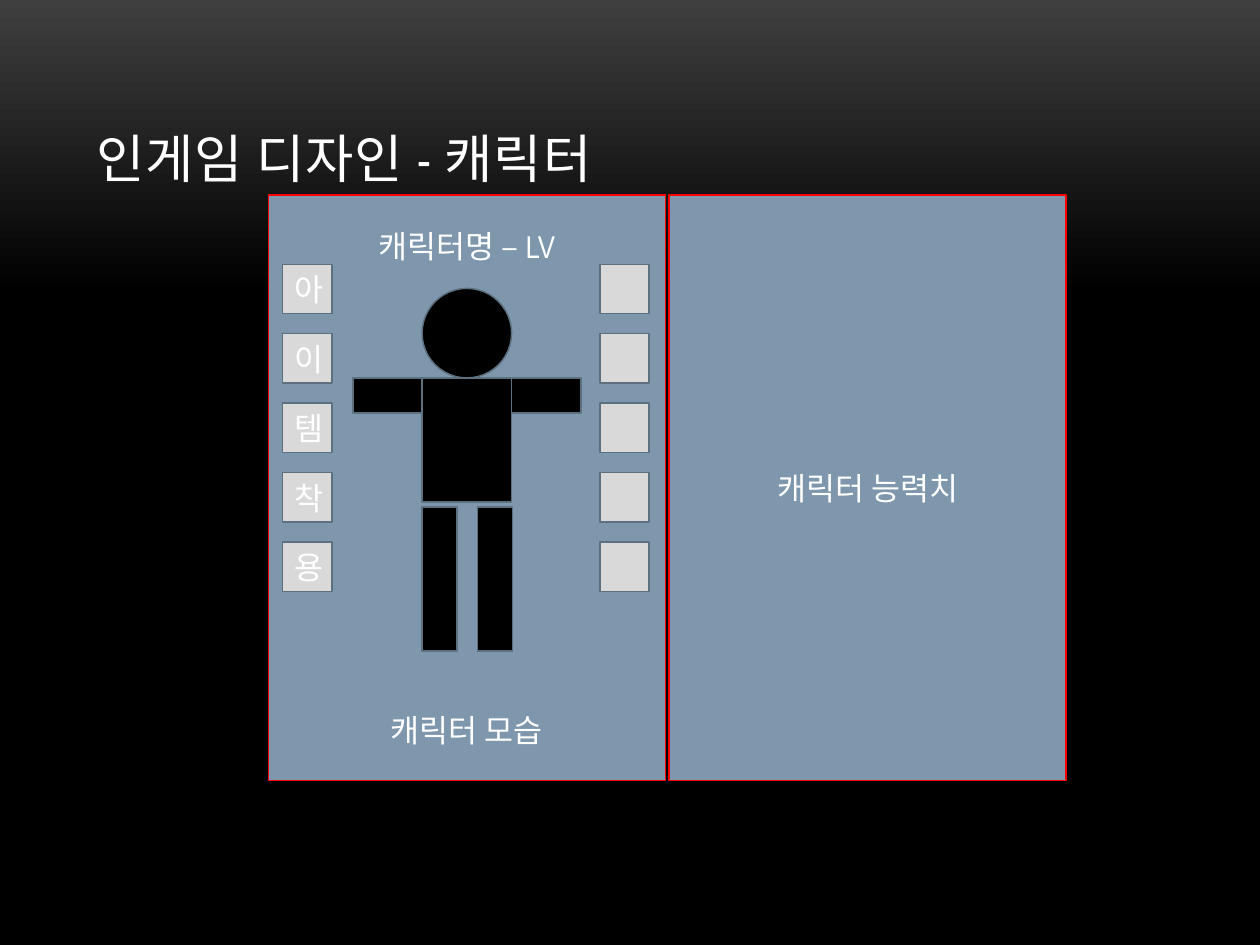
from pptx import Presentation
from pptx.dml.color import RGBColor
from pptx.enum.shapes import MSO_SHAPE
from pptx.enum.text import MSO_ANCHOR, PP_ALIGN
from pptx.util import Pt

HUES = {
    "top": "3F3F3F", "black": "000000", "white": "FFFFFF",
    "panel": "7E97AD", "red": "FF0000", "edge": "5D7080", "slot": "D9D9D9",
}


def hue(name):
    return RGBColor.from_string(HUES[name])


class Deck:
    face = "Arial Narrow"
    size = 18
    width = 0.85

    def __init__(self, slide):
        self.slide = slide

    def ground(self, first, last, stop):
        fill = self.slide.background.fill
        fill.gradient()
        fill.gradient_angle = 270
        for mark, name, pos in zip(fill.gradient_stops, (first, last), (0, stop)):
            mark.color.rgb = hue(name)
            mark.position = pos

    def style(self, para, size):
        para.font.name = self.face
        para.font.size = Pt(size)
        para.font.color.rgb = hue("white")

    def title(self, text, x, y, w, h):
        frame = self.slide.shapes.add_textbox(Pt(x), Pt(y), Pt(w), Pt(h)).text_frame
        frame.word_wrap = True
        frame.vertical_anchor = MSO_ANCHOR.BOTTOM
        para = frame.paragraphs[0]
        run = para.add_run()
        run.text = text
        run._r.get_or_add_rPr().set("spc", "50")
        self.style(para, 30)

    def shape(self, x, y, w, h, fill, line="edge", lines=(), gap=0,
              kind=MSO_SHAPE.RECTANGLE):
        item = self.slide.shapes.add_shape(kind, Pt(x), Pt(y), Pt(w), Pt(h))
        item.shadow.inherit = False
        item.fill.solid()
        item.fill.fore_color.rgb = hue(fill)
        item.line.color.rgb = hue(line)
        item.line.width = Pt(self.width)
        frame = item.text_frame
        frame.vertical_anchor = MSO_ANCHOR.MIDDLE
        for i, text in enumerate(lines):
            para = frame.add_paragraph() if i else frame.paragraphs[0]
            para.text = text
            para.alignment = PP_ALIGN.CENTER
            if i:
                para.space_before = Pt(gap)
            self.style(para, self.size)


def main():
    show = Presentation()
    show.slide_width, show.slide_height = Pt(720), Pt(540)
    deck = Deck(show.slides.add_slide(show.slide_layouts[6]))
    deck.ground("top", "black", 0.31)
    deck.title("인게임 디자인 - 캐릭터", 48, 21.6, 624, 90)

    panels = [(153.4, ["캐릭터명 – LV", "캐릭터 모습"]), (382.4, ["캐릭터 능력치"])]
    for x, lines in panels:
        deck.shape(x, 111.4, 226.8, 334.6, "panel", "red", lines, gap=255)

    left, neck, trunk = 241.2, 216, 51.2
    arm, limb = 39.6, 20
    deck.shape(left, neck - trunk, trunk, trunk, "black", kind=MSO_SHAPE.OVAL)
    deck.shape(left, neck, trunk, 70.8, "black")
    for x in (left + trunk, left - arm):
        deck.shape(x, neck, arm, limb, "black")
    for x in (left, left + trunk + 0.6 - limb):
        deck.shape(x, 289.8, limb, 82.2, "black")

    for x, marks in ((161.4, "아이템착용"), (342.8, [""] * 5)):
        for i, mark in enumerate(marks):
            deck.shape(x, 151 + 39.7 * i, 28.2, 28.2, "slot", lines=[mark] if mark else [])

    show.save("out.pptx")


if __name__ == "__main__":
    main()
